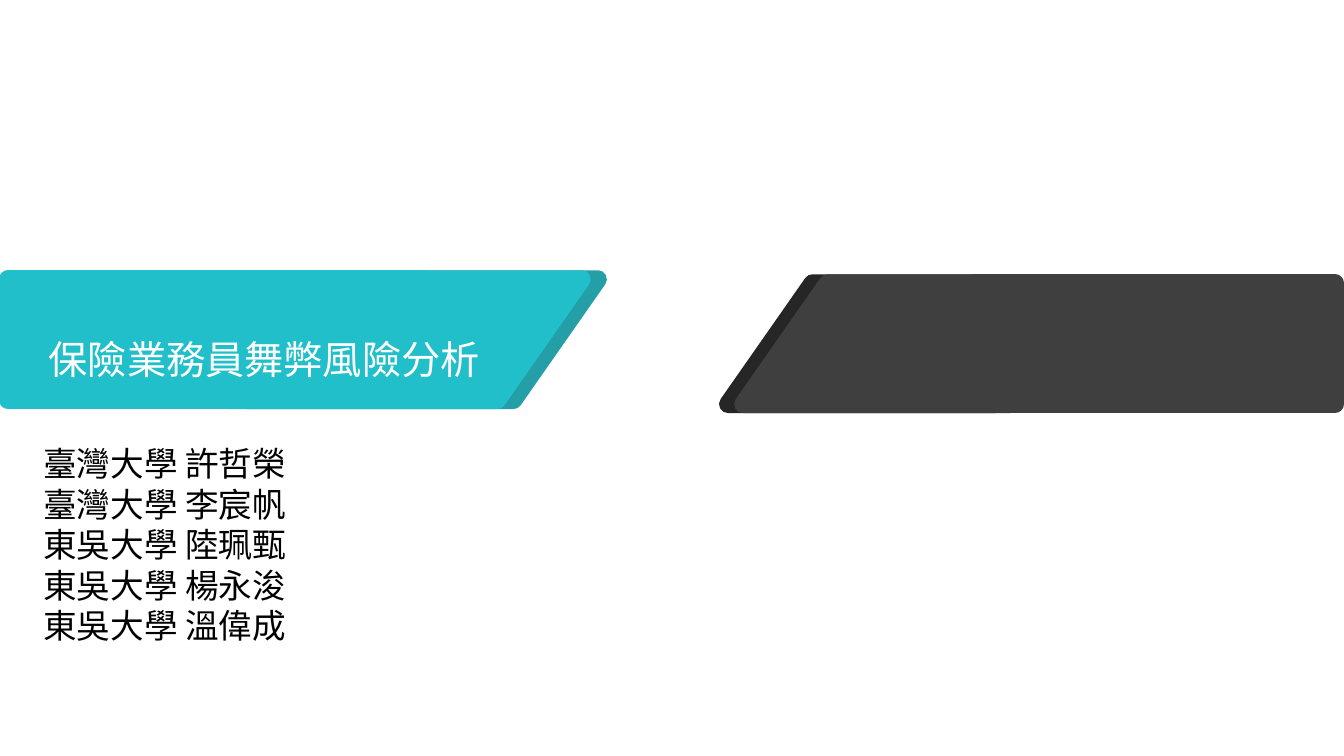
from lxml import etree
from pptx import Presentation
from pptx.dml.color import RGBColor
from pptx.enum.shapes import MSO_SHAPE
from pptx.enum.text import MSO_ANCHOR, MSO_AUTO_SIZE, PP_ALIGN
from pptx.oxml.ns import qn
from pptx.util import Inches, Pt

PARALLELOGRAM = MSO_SHAPE.PARALLELOGRAM
TOP = MSO_ANCHOR.TOP
NO_AUTOFIT = MSO_AUTO_SIZE.NONE
CENTER, LEFT = PP_ALIGN.CENTER, PP_ALIGN.LEFT

COLORS = {
    "teal": "21BFCA",
    "teal_edge": "249FA8",
    "charcoal": "3F3F3F",
    "charcoal_edge": "262626",
    "white": "FFFFFF",
    "black": "000000",
}
BAND_HEIGHT = 1.2
SLANT_WIDTH, SLANT = 3.49, 0.699
TEAL_TOP, CHARCOAL_TOP = 2.77, 2.81


def rgb(name):
    return RGBColor.from_string(COLORS[name])


def fill_placeholder(placeholder, box, lines, paragraph_format, font_format, typeface):
    """Place the placeholder in front of the bands and write one paragraph per line."""
    element = placeholder.element
    element.getparent().append(element)
    placeholder.left, placeholder.top, placeholder.width, placeholder.height = map(Inches, box)
    frame = placeholder.text_frame
    frame.word_wrap = True
    frame.auto_size = NO_AUTOFIT
    frame.vertical_anchor = TOP
    frame.text = "\n".join(lines)
    for paragraph in frame.paragraphs:
        for name, value in paragraph_format.items():
            setattr(paragraph, name, value)
        properties = paragraph._p.get_or_add_pPr()
        properties.set("marL", "0")
        properties.set("indent", "0")
        etree.SubElement(properties, qn("a:buNone"))
        run = paragraph.runs[0]
        for name, value in font_format.items():
            setattr(run.font, name, value)
        run.font.color.rgb = rgb("white" if placeholder == title else "black")
        run.font.name = typeface
        etree.SubElement(run.font._element, qn("a:ea"), typeface=typeface)


prs = Presentation()
prs.slide_width, prs.slide_height = Inches(13.33), Inches(7.5)
slide = prs.slides.add_slide(prs.slide_layouts[1])
title, authors = slide.placeholders

# Each band: a slanted edge, the slanted face over it, and a straight part
bands = [
    (2.44, TEAL_TOP, SLANT_WIDTH, SLANT, "teal", "teal_edge"),
    (2.28, TEAL_TOP, SLANT_WIDTH, SLANT, "teal", "teal"),
    (0.08, TEAL_TOP, 4.14, 0, "teal", "teal"),
    (7.22, CHARCOAL_TOP, SLANT_WIDTH, SLANT, "teal", "charcoal_edge"),
    (7.37, CHARCOAL_TOP, SLANT_WIDTH, SLANT, "charcoal", "charcoal"),
    (9.67, CHARCOAL_TOP, 3.57, 0, "charcoal", "charcoal"),
]
for left, top, width, slant, face, edge in bands:
    band = slide.shapes.add_shape(
        PARALLELOGRAM, Inches(left), Inches(top), Inches(width), Inches(BAND_HEIGHT))
    band.adjustments[0] = slant
    band.shadow.inherit = False
    band.fill.solid()
    band.fill.fore_color.rgb = rgb(face)
    band.line.color.rgb = rgb(edge)
    band.line.width = Pt(12.75)
    etree.SubElement(band.element.spPr.find(qn("a:ln")), qn("a:round"))

fill_placeholder(
    title, (0.24, 3.01, 4.76, 0.72), ["保險業務員舞弊風險分析"],
    {"alignment": CENTER, "line_spacing": Pt(53), "space_before": Pt(0)},
    {"size": Pt(28), "bold": False}, "Noto Sans CJK TC")
fill_placeholder(
    authors, (0.33, 4.34, 5.45, 2.12),
    ["臺灣大學 許哲榮", "臺灣大學 李宸帆", "東吳大學 陸珮甄", "東吳大學 楊永浚", "東吳大學 溫偉成"],
    {"alignment": LEFT, "line_spacing": Pt(29), "space_before": Pt(0)},
    {"size": Pt(24), "bold": False}, "Noto Sans CJK SC")

prs.save("out.pptx")
